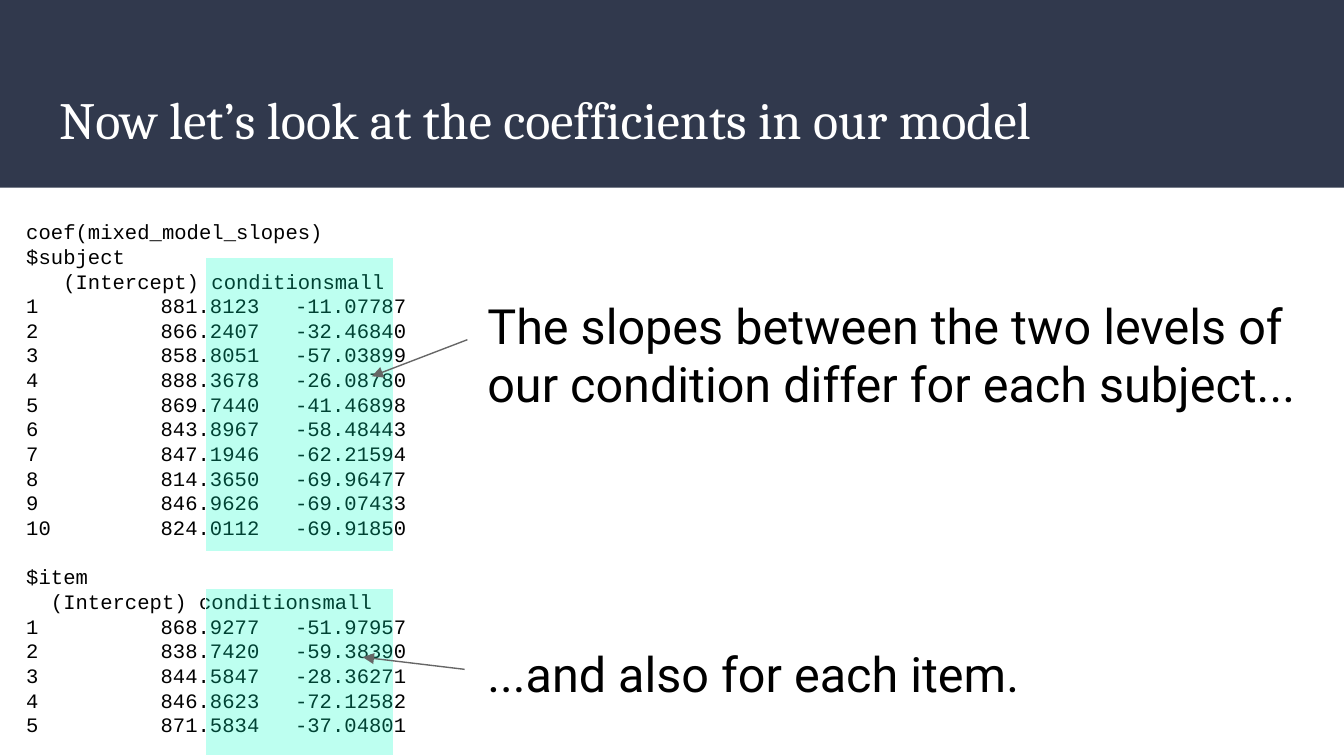
from lxml.etree import SubElement
from pptx import Presentation
from pptx.dml.color import RGBColor
from pptx.enum.shapes import MSO_CONNECTOR, MSO_SHAPE
from pptx.enum.text import MSO_ANCHOR, PP_ALIGN
from pptx.oxml.ns import qn
from pptx.util import Pt

THEME = {
    "band": "31394D", "white": "FFFFFF", "text": "000000",
    "highlight": "00FFC7", "highlight_alpha": 26, "arrow": "666666",
    "title": ("Cambria", 28), "code": ("Courier New", 11), "note": ("Roboto", 26),
    "line_width": 0.75, "code_pitch": 13.2, "note_pitch": 31.1,
}

TITLE = "Now let’s look at the coefficients in our model"
CALL = "coef(mixed_model_slopes)"
SUBJECT_HEAD = ["$subject", "   (Intercept) conditionsmall"]
SUBJECTS = [
    ("881.8123", "-11.07787"), ("866.2407", "-32.46840"),
    ("858.8051", "-57.03899"), ("888.3678", "-26.08780"),
    ("869.7440", "-41.46898"), ("843.8967", "-58.48443"),
    ("847.1946", "-62.21594"), ("814.3650", "-69.96477"),
    ("846.9626", "-69.07433"), ("824.0112", "-69.91850"),
]
ITEM_HEAD = ["$item", "  (Intercept) conditionsmall"]
ITEMS = [
    ("868.9277", "-51.97957"), ("838.7420", "-59.38390"),
    ("844.5847", "-28.36271"), ("846.8623", "-72.12582"),
    ("871.5834", "-37.04801"),
]
NOTES = [
    "The slopes between the two levels of our condition differ for each subject...",
    "...and also for each item.",
]

WIDTH, HEIGHT = 720, 405
BAND_HEIGHT = 100.5
TITLE_BOX = (24.5, 39.2, 671, 49)
CODE_BOX = (7, 110.2, 693.4, 282.2)
CODE_TABS = (72, 144)
NOTE_BOX = (254, 151.2, 451.4, 219.6)
HIGHLIGHT_LEFT, HIGHLIGHT_WIDTH = 110.2, 100.5
HIGHLIGHTS = [(137.8, 157.7), (315.4, 89.3)]
ARROWS = [(250.4, 182, 199.2, 201.6), (248.9, 358.6, 194.4, 352.1)]


def points(values):
    return [Pt(v) for v in values]


def color(name):
    return RGBColor.from_string(THEME[name])


def write(sp, lines, style, fill="text", pitch=None, gaps=None, tabs=(),
          anchor=MSO_ANCHOR.TOP):
    tf = sp.text_frame
    tf.word_wrap = True
    tf.vertical_anchor = anchor
    tf.margin_left = tf.margin_right = tf.margin_top = tf.margin_bottom = Pt(7.2)
    for i, line in enumerate(lines):
        p = tf.paragraphs[0] if i == 0 else tf.add_paragraph()
        p.alignment = PP_ALIGN.LEFT
        p.space_before = Pt((gaps or {}).get(i, 0))
        if pitch:
            p.line_spacing = Pt(pitch)
        if tabs:
            tab_list = SubElement(p._p.get_or_add_pPr(), qn("a:tabLst"))
            for tab in tabs:
                SubElement(tab_list, qn("a:tab"), pos=str(Pt(tab)), algn="l")
        r = p.add_run()
        r.text = line
        r.font.name, size = THEME[style]
        r.font.size = Pt(size)
        r.font.color.rgb = color(fill)


def add_rect(s, box, fill, alpha=None, line=None):
    sp = s.shapes.add_shape(MSO_SHAPE.RECTANGLE, *points(box))
    sp.shadow.inherit = False
    sp.fill.solid()
    sp.fill.fore_color.rgb = color(fill)
    if alpha:
        clr = sp.fill._xPr.find(qn("a:solidFill"))[0]
        SubElement(clr, qn("a:alpha"), val=str(alpha * 1000))
    if line:
        sp.line.color.rgb = color(line)
        sp.line.width = Pt(THEME["line_width"])
    else:
        sp.line.fill.background()
    return sp


def add_arrow(s, ends):
    cn = s.shapes.add_connector(MSO_CONNECTOR.STRAIGHT, *points(ends))
    cn.line.color.rgb = color("arrow")
    cn.line.width = Pt(THEME["line_width"])
    SubElement(cn.line._get_or_add_ln(), qn("a:tailEnd"), type="triangle")
    SubElement(cn._element.spPr, qn("a:effectLst"))


def table_rows(rows):
    return [f"{i}\t{intercept}  \t{slope}" for i, (intercept, slope) in enumerate(rows, 1)]


def main():
    prs = Presentation()
    prs.slide_width, prs.slide_height = Pt(WIDTH), Pt(HEIGHT)
    s = prs.slides.add_slide(prs.slide_layouts[5])

    band = add_rect(s, (0, 0, WIDTH, BAND_HEIGHT), "band")
    s.shapes._spTree.insert(2, band._element)

    title = s.shapes.title
    title.left, title.top, title.width, title.height = points(TITLE_BOX)
    write(title, [TITLE], "title", fill="white", anchor=MSO_ANCHOR.MIDDLE)

    subject_lines = [CALL, *SUBJECT_HEAD, *table_rows(SUBJECTS)]
    code = s.shapes.add_textbox(*points(CODE_BOX))
    write(code, subject_lines + ITEM_HEAD + table_rows(ITEMS), "code",
          pitch=THEME["code_pitch"], gaps={len(subject_lines): THEME["code_pitch"]},
          tabs=CODE_TABS)

    notes = s.shapes.add_textbox(*points(NOTE_BOX))
    write(notes, NOTES, "note", pitch=THEME["note_pitch"],
          gaps={1: 4 * THEME["note_pitch"]})

    for top, height in HIGHLIGHTS:
        add_rect(s, (HIGHLIGHT_LEFT, top, HIGHLIGHT_WIDTH, height), "highlight",
                 alpha=THEME["highlight_alpha"], line="white")
    for ends in ARROWS:
        add_arrow(s, ends)

    prs.save("out.pptx")


if __name__ == "__main__":
    main()
